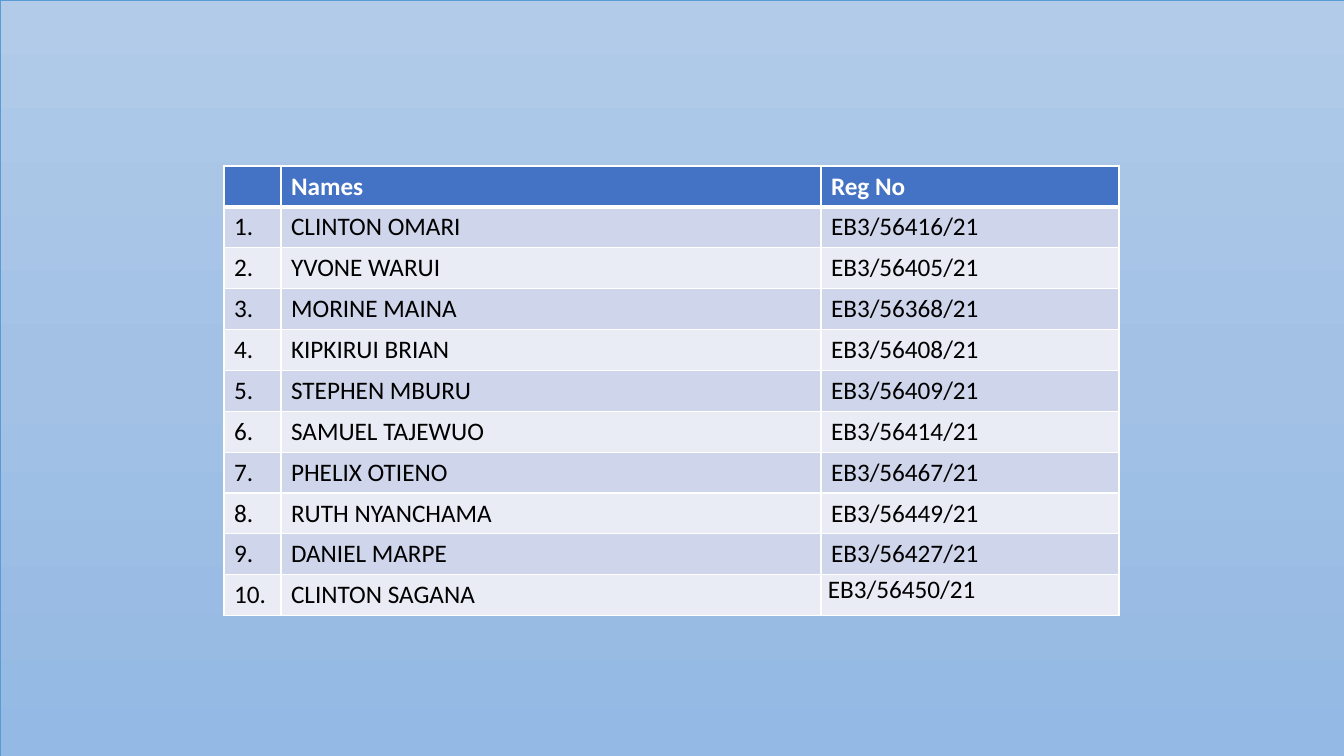
from copy import deepcopy

from lxml import etree
from pptx import Presentation
from pptx import util as u
from pptx.dml.color import RGBColor
from pptx.enum import shapes
from pptx.oxml.ns import qn

# Content
HEADER = ("", "Names", "Reg No")
MEMBERS = [
    ("CLINTON OMARI", "EB3/56416/21"),
    ("YVONE WARUI", "EB3/56405/21"),
    ("MORINE MAINA", "EB3/56368/21"),
    ("KIPKIRUI BRIAN", "EB3/56408/21"),
    ("STEPHEN MBURU", "EB3/56409/21"),
    ("SAMUEL TAJEWUO", "EB3/56414/21"),
    ("PHELIX OTIENO", "EB3/56467/21"),
    ("RUTH NYANCHAMA", "EB3/56449/21"),
    ("DANIEL MARPE", "EB3/56427/21"),
    ("CLINTON SAGANA", "EB3/56450/21"),
]
ROWS = [HEADER] + [(f"{n}.", *member) for n, member in enumerate(MEMBERS, 1)]

# Layout in px, and colours
SLIDE_W, SLIDE_H = 1344, 756
ROSTER_LEFT, ROSTER_TOP, ROSTER_H = 224, 166, 450
COLUMNS = (57, 540, 298)
SKY = [(0, "B1CBE9"), (0.5, "A3C1E5"), (1, "93B9E4")]
HEADER_FILL, BANDS = "4472C4", ("E9EBF5", "CFD5EA")


def px(length):
    return u.Emu(round(length * 914400 / 100.8))


def colour(code):
    return RGBColor.from_string(code)


def set_borders(cell, top, bottom):
    props = cell._tc.get_or_add_tcPr()
    sides = (("lnL", 1), ("lnR", 1), ("lnT", top), ("lnB", bottom))
    for place, (side, points) in enumerate(sides):
        line = etree.Element(qn(f"a:{side}"), w=str(u.Pt(points)))
        solid = etree.SubElement(line, qn("a:solidFill"))
        etree.SubElement(solid, qn("a:srgbClr"), val="FFFFFF")
        props.insert(place, line)


prs = Presentation()
prs.slide_width, prs.slide_height = px(SLIDE_W), px(SLIDE_H)
slide = prs.slides.add_slide(prs.slide_layouts[6])

# Sky backdrop
sky = slide.shapes.add_shape(shapes.MSO_SHAPE.RECTANGLE, 0, 0, px(SLIDE_W), px(SLIDE_H))
sky.shadow.inherit = False
sky.line.color.rgb = colour("5B9BD5")
sky.line.width = u.Pt(0.5)
sky.fill.gradient()
sky.fill.gradient_angle = 270
stop_list = sky.element.xpath(".//a:gsLst")[0]
stop_list.append(deepcopy(stop_list[0]))
for stop, (position, code) in zip(sky.fill.gradient_stops, SKY):
    stop.position = position
    stop.color.rgb = colour(code)

# Roster table
roster = slide.shapes.add_table(
    len(ROWS), len(COLUMNS), px(ROSTER_LEFT), px(ROSTER_TOP), px(sum(COLUMNS)), px(ROSTER_H)
).table
for column, width in zip(roster.columns, COLUMNS):
    column.width = px(width)

for r, entries in enumerate(ROWS):
    is_header = r == 0
    for c, entry in enumerate(entries):
        cell = roster.cell(r, c)
        cell.fill.solid()
        cell.fill.fore_color.rgb = colour(HEADER_FILL if is_header else BANDS[r % 2])
        set_borders(cell, top=3 if r == 1 else 1, bottom=3 if is_header else 1)
        paragraph = cell.text_frame.paragraphs[0]
        paragraph.text = entry
        font = paragraph.font
        if entry:
            font = paragraph.runs[0].font
        font.name, font.size, font.bold = "Calibri", u.Pt(18), is_header
        font.color.rgb = colour("FFFFFF" if is_header else "000000")

# The last registration number sits tight in its cell
last = roster.cell(len(ROWS) - 1, len(COLUMNS) - 1)
last.margin_left = last.margin_right = px(7)
last.margin_top = last.margin_bottom = 0

prs.save("out.pptx")
